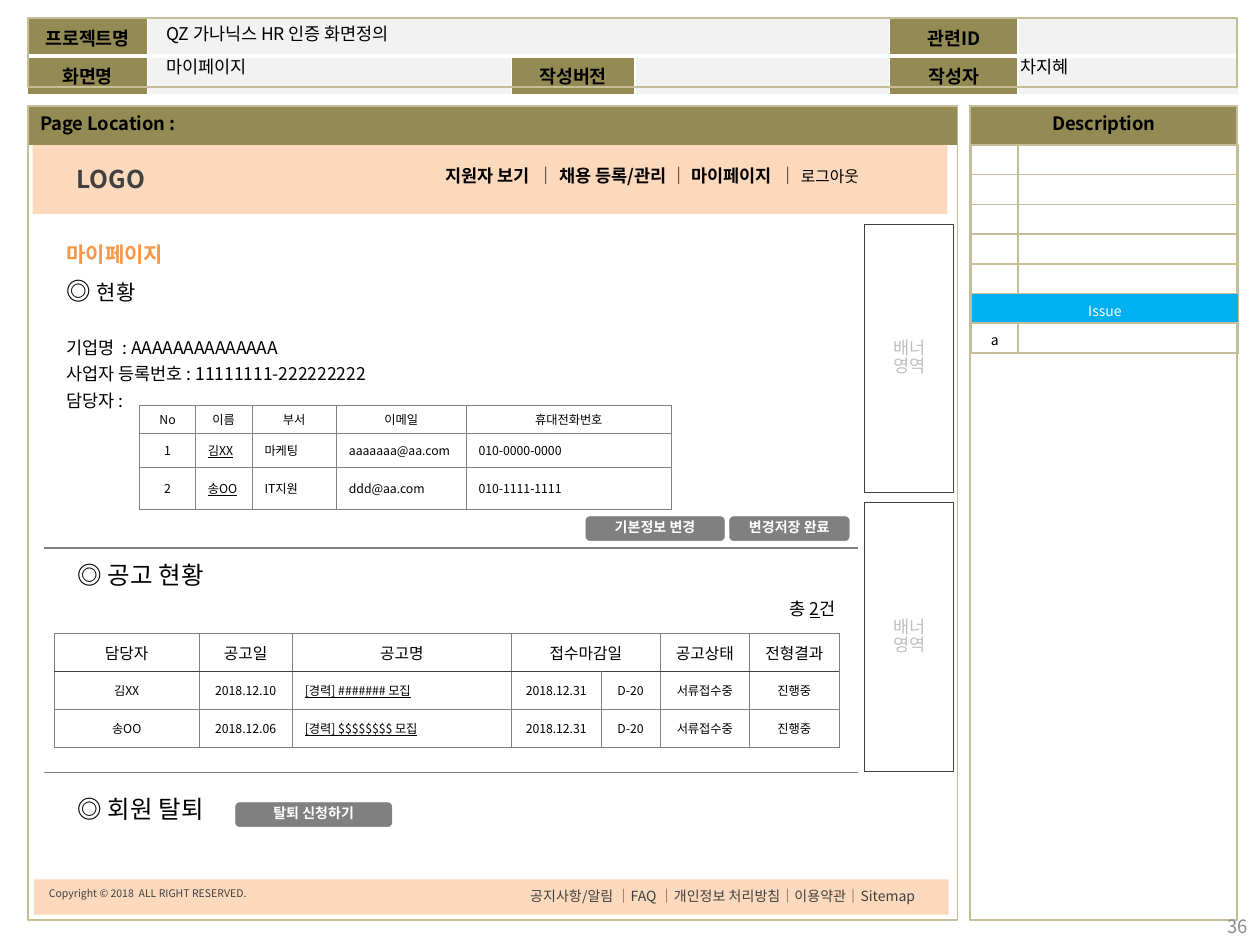
"""Build the "my page" screen definition slide of a recruiting site."""
from lxml.etree import SubElement
from pptx import Presentation
from pptx.dml.color import RGBColor
from pptx.enum.shapes import MSO_CONNECTOR, MSO_SHAPE
from pptx.enum.text import MSO_ANCHOR, PP_ALIGN
from pptx.oxml.ns import qn
from pptx.util import Inches, Pt

FONT = "Noto Sans CJK KR"
LEFT, CENTER, RIGHT = PP_ALIGN.LEFT, PP_ALIGN.CENTER, PP_ALIGN.RIGHT
OLIVE, SAND, PEACH = "948A54", "C4BD97", "FAC090"
BLACK, DARK, GRAY, WHITE = "000000", "404040", "808080", "FFFFFF"
UNDERLINED, BOLD, PLAIN = {"underline": True}, {"bold": True}, {"bold": False}
color = RGBColor.from_string

presentation = Presentation()
presentation.slide_width, presentation.slide_height = Inches(10), Inches(7.5)
slide = presentation.slides.add_slide(presentation.slide_layouts[6])
shapes = slide.shapes
COLUMN = presentation.slide_width / 100
ROW = presentation.slide_height / 75
GRID = (COLUMN, ROW, COLUMN, ROW)


def write(frame, lines, size, ink=BLACK, bold=False, align=LEFT, spacing=0.84):
    """Fill a text frame; a line is a string or a list of (text, font settings)."""
    for number, line in enumerate(lines):
        paragraph = frame.add_paragraph() if number else frame.paragraphs[0]
        paragraph.alignment, paragraph.line_spacing = align, spacing
        font = paragraph.font
        font.name, font.size, font.bold = FONT, Pt(size), bold
        font.color.rgb = color(ink)
        SubElement(font._element, qn("a:ea"), typeface=FONT)
        for text, settings in [(line, {})] if isinstance(line, str) else line:
            if text:
                run = paragraph.add_run()
                run.text = text
                for name, value in settings.items():
                    setattr(run.font, name, value)


def add_grid(left, top, widths, heights, texts, border, size, head_size=None, head_border=None,
             left_columns=(), margins=(0.2, 0.2), anchor=MSO_ANCHOR.MIDDLE, bold=False):
    """Add a bordered table whose first row may have its own size and rule."""
    box = [int(v * COLUMN) for v in (left, top, sum(widths), sum(heights))]
    table = shapes.add_table(len(heights), len(widths), *box).table
    table.first_row = table.horz_banding = False
    for column, width in zip(table.columns, widths):
        column.width = int(width * COLUMN)
    for r, height in enumerate(heights):
        table.rows[r].height = int(height * ROW)
        for c in range(len(widths)):
            cell = table.cell(r, c)
            cell.fill.background()
            cell.vertical_anchor = anchor
            cell.margin_top, cell.margin_bottom = (int(m * ROW) for m in margins)
            align = LEFT if r and c in left_columns else CENTER
            write(cell.text_frame, [texts[r][c]], size if r else head_size or size,
                  bold=bold, align=align, spacing=1.0)
            properties = cell._tc.get_or_add_tcPr()
            for number, side in enumerate("LRTB"):
                ruled = head_border and (r, side) in ((0, "B"), (1, "T"))
                ink, weight = head_border if ruled else border
                line = properties.makeelement(qn(f"a:ln{side}"), w=str(Pt(weight)))
                SubElement(SubElement(line, qn("a:solidFill")), qn("a:srgbClr"), val=ink)
                properties.insert(number, line)
    return table


header = add_grid(
    2.2, 1.4, [9.5, 28.9, 9.8, 20.2, 10.2, 17.5], [3.05, 3.05],
    [["프로젝트명", "", "", "", "관련ID", ""], ["화면명", "", "작성버전", "", "작성자", ""]],
    (WHITE, 1), 10.5, head_border=(WHITE, 3), margins=(0.5, 0.3), anchor=MSO_ANCHOR.TOP, bold=True)
for r, labels in enumerate([(0, 4), (0, 2, 4)]):
    for c in range(6):
        fill = header.cell(r, c).fill
        fill.solid()
        fill.fore_color.rgb = color(OLIVE if c in labels else "F2F2F2")
header.cell(0, 1).merge(header.cell(0, 3))

BAR = {"fill": OLIVE, "size": 10.5, "bold": True}
FRAME = {"line": SAND, "weight": 1}
BANNER = {"line": DARK, "weight": 0.5, "lines": ["배너", "영역"], "size": 10, "ink": "BFBFBF"}
BUTTON = {"kind": MSO_SHAPE.ROUNDED_RECTANGLE, "fill": GRAY, "line": GRAY, "weight": 0.25,
          "size": 8, "ink": WHITE, "bold": True}
for box, style in [
    ((2.2, 8.4, 73.8, 3.1), BAR | {"lines": ["Page Location :"], "align": LEFT}),
    ((77, 8.4, 21.2, 3.1), BAR | {"lines": ["Description"]}),
    ((2.2, 8.4, 73.8, 64.6), FRAME),
    ((77, 8.4, 21.2, 64.6), FRAME),
    ((2.2, 1.4, 96, 5.5), FRAME),
    ((2.6, 11.5, 72.6, 5.5), {"fill": PEACH, "alpha": 60}),
    ((2.7, 69.8, 72.6, 2.8), {"fill": PEACH, "alpha": 60}),
    ((68.6, 17.8, 7.1, 21.3), BANNER),
    ((68.6, 39.9, 7.1, 21.3), BANNER),
    ((18.7, 63.7, 12.4, 1.9), BUTTON | {"lines": ["탈퇴 신청하기"]}),
    ((57.9, 41, 9.5, 1.9), BUTTON | {"lines": ["변경저장 완료"]}),
    ((46.5, 41, 11, 1.9), BUTTON | {"lines": ["기본정보 변경"]}),
]:
    shape = shapes.add_shape(style.get("kind", MSO_SHAPE.RECTANGLE),
                             *[int(v * unit) for v, unit in zip(box, GRID)])
    shape.shadow.inherit = False
    shape.fill.background()
    shape.line.fill.background()
    if "fill" in style:
        shape.fill.solid()
        shape.fill.fore_color.rgb = color(style["fill"])
    if "alpha" in style:
        tint = shape.fill._xPr.find(".//" + qn("a:srgbClr"))
        SubElement(tint, qn("a:alpha"), val=str(style["alpha"] * 1000))
    if "line" in style:
        shape.line.color.rgb = color(style["line"])
        shape.line.width = Pt(style["weight"])
    if "lines" in style:
        frame = shape.text_frame
        frame.vertical_anchor = MSO_ANCHOR.MIDDLE
        frame.word_wrap = "kind" not in style
        if "kind" in style:
            frame.margin_top = frame.margin_bottom = Inches(0.04)
        write(frame, style["lines"], style["size"], style.get("ink", BLACK),
              style.get("bold", False), style.get("align", CENTER))

for top in (43.5, 61.3):
    rule = shapes.add_connector(MSO_CONNECTOR.STRAIGHT, int(3.5 * COLUMN), int(top * ROW),
                                int(68.1 * COLUMN), int(top * ROW))
    rule.line.color.rgb, rule.line.width = color(GRAY), Pt(0.75)
    SubElement(rule._element.spPr, qn("a:effectLst"))

menu = [("지원자 보기  │ 채용 등록/관리 │ 마이페이지  ", BOLD), ("│ ", {}),
        ("로그아웃", {"size": Pt(9)})]
for box, lines, style in [
    ((12.2, 1.6, 21.3, 2.7), ["QZ 가나닉스 HR 인증 화면정의"], {"size": 10}),
    ((79.8, 4.2, 6.2, 2.7), ["차지혜"], {"size": 10, "align": CENTER}),
    ((12.2, 4.2, 9, 2.7), ["마이페이지"], {"size": 10}),
    ((95.2, 72.4, 4.8, 3), ["36"], {"size": 10.5, "ink": "8C8C8C", "align": RIGHT}),
    ((4.3, 19, 16.1, 3), ["마이페이지"], {"size": 12, "ink": "F79646", "bold": True}),
    ((2.9, 70.1, 37, 2), ["Copyright © 2018  ALL RIGHT RESERVED."], {"size": 6, "ink": DARK}),
    ((41.1, 70.2, 34.5, 2.4), ["공지사항/알림 │FAQ │개인정보 처리방침│이용약관│Sitemap"],
     {"size": 8, "ink": DARK}),
    ((5.1, 12.9, 8.3, 3.4), ["LOGO"], {"size": 14, "ink": DARK, "bold": True}),
    ((34.4, 12.9, 39.3, 2.7), [menu], {"size": 10}),
    ((4.3, 21.8, 29.1, 12.9),
     [[("◎ ", {"bold": True, "size": Pt(14)}), ("현황", {"size": Pt(12)})],
      "기업명  : AAAAAAAAAAAAAA", "사업자 등록번호 : 11111111-222222222", "담당자 :"],
     {"size": 10}),
    ((5.2, 44.3, 29.1, 3.4), [[("◎", BOLD), (" 공고 현황", PLAIN)]], {"size": 14}),
    ((38.2, 47.2, 29.1, 2.7), [[("총 ", {}), ("2", UNDERLINED), ("건", {})]],
     {"size": 10, "align": RIGHT}),
    ((5.2, 62.9, 29.1, 3.4), [[("◎", BOLD), (" 회원 탈퇴", PLAIN)]], {"size": 14}),
]:
    frame = shapes.add_textbox(*[int(v * unit) for v, unit in zip(box, GRID)]).text_frame
    frame.word_wrap = True
    write(frame, lines, **style)
    for paragraph in frame.paragraphs[1:]:
        paragraph.line_spacing = 1.25
    if len(lines) > 1:
        frame.paragraphs[1].space_before = Pt(15)

description = add_grid(77.1, 11.5, [3.7, 17.5], [2.36] * 7,
                       [["", ""]] * 5 + [["Issue", ""], ["a", ""]], (SAND, 1), 8,
                       margins=(0.5, 0.2), anchor=MSO_ANCHOR.TOP)
issue = description.cell(5, 0)
issue.merge(description.cell(5, 1))
issue.fill.solid()
issue.fill.fore_color.rgb = color("00B0F0")
issue.text_frame.paragraphs[0].font.color.rgb = color(WHITE)

postings = [["담당자", "공고일", "공고명", "접수마감일", "", "공고상태", "전형결과"]]
for manager, date, title in [("김XX", "2018.12.10", "[경력] ####### 모집"),
                             ("송OO", "2018.12.06", "[경력] $$$$$$$$ 모집")]:
    postings.append([manager, date, [(title, UNDERLINED)], "2018.12.31", "D-20",
                     "서류접수중", "진행중"])
posting_table = add_grid(4.3, 50.3, [11.5, 7.4, 17.4, 7.1, 4.7, 7.1, 7.1], [3] * 3, postings,
                         (GRAY, 0.5), 7, head_size=9, head_border=(DARK, 1), left_columns=(2,))
posting_table.cell(0, 3).merge(posting_table.cell(0, 4))

managers = [["No", "이름", "부서", "이메일", "휴대전화번호"],
            ["1", [("김XX", UNDERLINED)], "마케팅", "aaaaaaa@aa.com", "010-0000-0000"],
            ["2", [("송OO", UNDERLINED)], "IT지원", "ddd@aa.com", "010-1111-1111"]]
add_grid(11.1, 32.2, [4.4, 4.5, 6.7, 10.3, 16.3], [2.2, 2.7, 3.3], managers, (GRAY, 0.5), 7,
         left_columns=(1, 2, 3, 4))

presentation.save("out.pptx")
